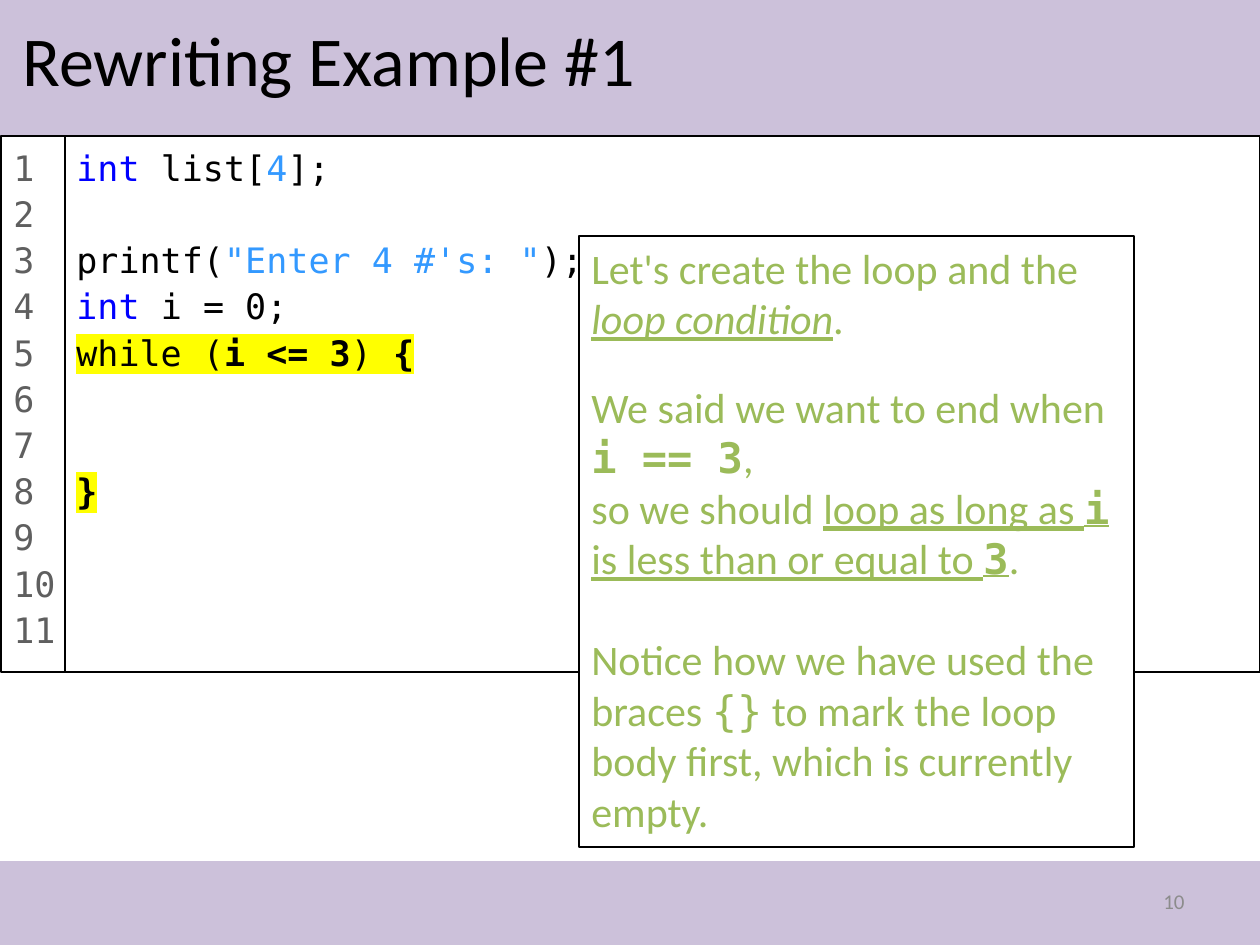
import pptx
import pptx.dml.color
import pptx.enum.shapes
import pptx.enum.text
import pptx.oxml
import pptx.oxml.ns
import pptx.util

RGB = pptx.dml.color.RGBColor
BLACK = RGB(0x00, 0x00, 0x00)
WHITE = RGB(0xFF, 0xFF, 0xFF)
LAVENDER = RGB(0xCC, 0xC1, 0xDA)
KEYWORD = RGB(0x00, 0x00, 0xFF)
LITERAL = RGB(0x33, 0x99, 0xFF)
NUMBER_GRAY = RGB(0x5F, 0x5F, 0x5F)
PAGE_GRAY = RGB(0x8C, 0x8C, 0x8C)
GREEN = RGB(0x9B, 0xBB, 0x59)
YELLOW = RGB(0xFF, 0xFF, 0x00)

SANS = "Calibri"
MONO = "DejaVu Sans Mono"
EMU_PER_PX = 914400 / 126
SLIDE_WIDTH, SLIDE_HEIGHT = 1260, 945
CODE_TOP, CODE_HEIGHT, GUTTER = 136, 536, 64
CODE_PITCH = 26.4

MARK = {"highlight": YELLOW}
MARK_BOLD = {"highlight": YELLOW, "bold": True}
CODE_LINES = {
    1: [("int", {"color": KEYWORD}), (" list[", {}), ("4", {"color": LITERAL}), ("];", {})],
    3: [("printf(", {}), ("\"Enter 4 #'s: \"", {"color": LITERAL}), (");", {})],
    4: [("int ", {"color": KEYWORD}), ("i = 0;", {})],
    5: [("while (", MARK), ("i <= 3", MARK_BOLD), (") ", MARK), ("{", MARK_BOLD)],
    8: [("}", MARK_BOLD)],
}
LINE_COUNT = 11

UNDERLINE = {"underline": True}
MONO_BOLD = {"font": MONO, "bold": True}
MONO_BOLD_UNDERLINE = {"font": MONO, "bold": True, "underline": True}
EXPLANATION = [
    (0, [("Let's create the loop and the ", {}),
         ("loop condition", {"italic": True, "underline": True}), (".", {})]),
    (22, [("We said we want to end when ", {}), ("i == 3", MONO_BOLD), (",", {})]),
    (0, [("so we should ", {}), ("loop as long as ", UNDERLINE), ("i", MONO_BOLD_UNDERLINE),
         (" is less than or equal to ", UNDERLINE), ("3", MONO_BOLD_UNDERLINE), (".", {})]),
    (29, [("Notice how we have used the braces ", {}), ("{}", {"font": MONO}),
          (" to mark the loop body first, which is currently empty.", {})]),
]


def px(value):
    return pptx.util.Emu(round(value * EMU_PER_PX))


def add_run(paragraph, text, size, font=SANS, color=BLACK, bold=None,
            italic=None, underline=None, highlight=None):
    run = paragraph.add_run()
    run.text = text
    run.font.size = pptx.util.Pt(size)
    run.font.name = font
    run.font.bold, run.font.italic, run.font.underline = bold, italic, underline
    run.font.color.rgb = color
    if highlight is not None:
        element = pptx.oxml.parse_xml(
            f'<a:highlight {pptx.oxml.ns.nsdecls("a")}><a:srgbClr val="{highlight}"/></a:highlight>')
        run.font.fill._xPr.find(pptx.oxml.ns.qn("a:solidFill")).addnext(element)


def write(shape, paragraphs, size, line_spacing=None, **base):
    frame = shape.text_frame
    frame.word_wrap = True
    frame.vertical_anchor = pptx.enum.text.MSO_ANCHOR.TOP
    for index, (gap, runs) in enumerate(paragraphs):
        paragraph = frame.add_paragraph() if index else frame.paragraphs[0]
        paragraph.alignment = pptx.enum.text.PP_ALIGN.LEFT
        if line_spacing:
            paragraph.line_spacing = line_spacing
        if gap:
            paragraph.space_before = pptx.util.Pt(gap)
        for text, style in runs:
            add_run(paragraph, text, size, **{**base, **style})
    return frame


def add_box(slide, left, top, width, height, fill, line=None):
    shape = slide.shapes.add_shape(
        pptx.enum.shapes.MSO_SHAPE.RECTANGLE, px(left), px(top), px(width), px(height))
    shape.shadow.inherit = False
    shape.fill.solid()
    shape.fill.fore_color.rgb = fill
    if line is None:
        shape.line.fill.background()
    else:
        shape.line.color.rgb = line
        shape.line.width = pptx.util.Pt(0.75)
    return shape


def code_paragraphs():
    previous = 0
    for number, runs in CODE_LINES.items():
        yield (number - previous - 1) * CODE_PITCH, runs
        previous = number


def main():
    presentation = pptx.Presentation()
    presentation.slide_width, presentation.slide_height = px(SLIDE_WIDTH), px(SLIDE_HEIGHT)
    slide = presentation.slides.add_slide(presentation.slide_layouts[5])

    for top, bottom in ((0, CODE_TOP), (861, SLIDE_HEIGHT)):
        add_box(slide, 0, top, SLIDE_WIDTH, bottom - top, LAVENDER)

    page_number = slide.shapes.add_textbox(px(903), px(876), px(294), px(50))
    frame = write(page_number, [(0, [("10", {})])], 12, color=PAGE_GRAY)
    frame.vertical_anchor = pptx.enum.text.MSO_ANCHOR.MIDDLE
    frame.paragraphs[0].alignment = pptx.enum.text.PP_ALIGN.RIGHT

    code = add_box(slide, GUTTER, CODE_TOP, SLIDE_WIDTH - GUTTER, CODE_HEIGHT, WHITE, BLACK)
    write(code, code_paragraphs(), 20, 1.1, font=MONO)

    numbers = add_box(slide, 1, CODE_TOP, GUTTER, CODE_HEIGHT, WHITE, BLACK)
    labels = [(0, [(str(number), {})]) for number in range(1, LINE_COUNT + 1)]
    write(numbers, labels, 20, 1.1, font=MONO, color=NUMBER_GRAY).margin_right = 0

    title = slide.shapes.title
    title.left, title.top, title.width, title.height = px(10), px(10), px(1240), px(116)
    write(title, [(0, [("Rewriting Example #1", {})])], 40)
    title.element.getparent().append(title.element)

    callout = add_box(slide, 579, 236, 555, 611, WHITE, BLACK)
    frame = write(callout, EXPLANATION, 24, color=GREEN)
    frame.auto_size = pptx.enum.text.MSO_AUTO_SIZE.SHAPE_TO_FIT_TEXT

    presentation.save("out.pptx")


if __name__ == "__main__":
    main()
